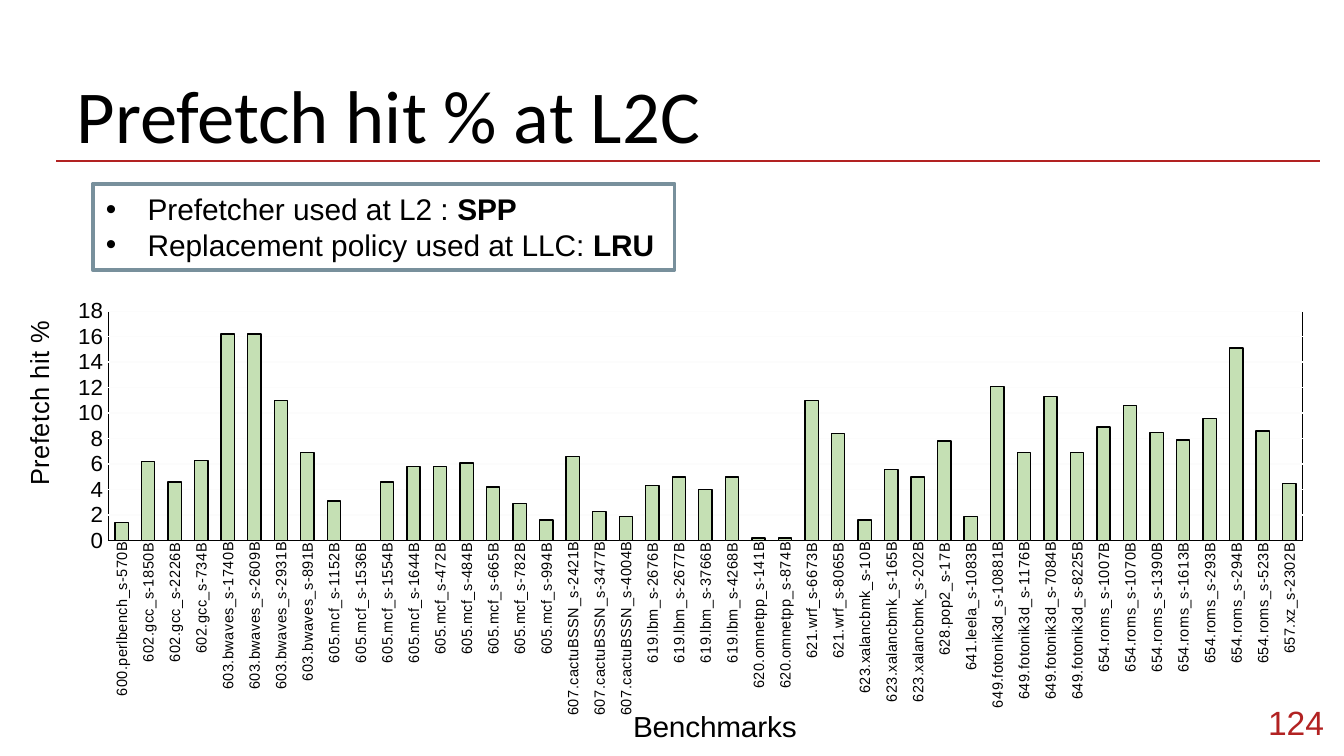
from lxml import etree
from pptx import Presentation
from pptx.chart.data import CategoryChartData
from pptx.dml.color import RGBColor
from pptx.enum.chart import XL_CHART_TYPE, XL_TICK_MARK
from pptx.enum.shapes import MSO_CONNECTOR, MSO_SHAPE
from pptx.enum.text import MSO_ANCHOR, PP_ALIGN
from pptx.oxml import parse_xml
from pptx.oxml.ns import nsdecls, qn
from pptx.util import Inches, Pt

COLUMN = XL_CHART_TYPE.COLUMN_CLUSTERED
NO_TICK = XL_TICK_MARK.NONE
STRAIGHT = MSO_CONNECTOR.STRAIGHT
RECTANGLE = MSO_SHAPE.RECTANGLE
MIDDLE = MSO_ANCHOR.MIDDLE
LEFT, RIGHT = PP_ALIGN.LEFT, PP_ALIGN.RIGHT

WIDTH = Inches(10)
HEIGHT = WIDTH * 9 // 16
COLORS = {"text": "000000", "accent": "B22222", "frame": "78909C",
          "paper": "FFFFFF", "bar": "C5E0B4", "grid": "FCFCFC"}

SETTINGS = [("Prefetcher used at L2 : ", "SPP"),
            ("Replacement policy used at LLC: ", "LRU")]

# Benchmark -> {trace: prefetch hit %}
HITS = {
    "600.perlbench_s": {"570B": 1.4},
    "602.gcc_s": {"1850B": 6.2, "2226B": 4.6, "734B": 6.3},
    "603.bwaves_s": {"1740B": 16.2, "2609B": 16.2, "2931B": 11, "891B": 6.9},
    "605.mcf_s": {"1152B": 3.1, "1536B": 0, "1554B": 4.6, "1644B": 5.8, "472B": 5.8,
                  "484B": 6.1, "665B": 4.2, "782B": 2.9, "994B": 1.6},
    "607.cactuBSSN_s": {"2421B": 6.6, "3477B": 2.3, "4004B": 1.9},
    "619.lbm_s": {"2676B": 4.3, "2677B": 5, "3766B": 4, "4268B": 5},
    "620.omnetpp_s": {"141B": 0.2, "874B": 0.2},
    "621.wrf_s": {"6673B": 11, "8065B": 8.4},
    "623.xalancbmk_s": {"10B": 1.6, "165B": 5.6, "202B": 5},
    "628.pop2_s": {"17B": 7.8},
    "641.leela_s": {"1083B": 1.9},
    "649.fotonik3d_s": {"10881B": 12.1, "1176B": 6.9, "7084B": 11.3, "8225B": 6.9},
    "654.roms_s": {"1007B": 8.9, "1070B": 10.6, "1390B": 8.5, "1613B": 7.9,
                   "293B": 9.6, "294B": 15.1, "523B": 8.6},
    "657.xz_s": {"2302B": 4.5},
}


def color(name):
    return RGBColor.from_string(COLORS[name])


def area(left, top, width, height):
    """Turn percentages of the slide's size into lengths."""
    return (int(WIDTH * left / 100), int(HEIGHT * top / 100),
            int(WIDTH * width / 100), int(HEIGHT * height / 100))


def style_font(font, size, name="Arial", ink="text"):
    font.name, font.size, font.bold = name, Pt(size), False
    font.color.rgb = color(ink)


def style_line(line, ink, width):
    line.color.rgb = color(ink)
    line.width = Pt(width)


def set_title(slide, text):
    title = slide.shapes.title
    title.left, title.top, title.width, title.height = area(4.7, 6.4, 93.2, 17.2)
    title.text = text
    title.text_frame.vertical_anchor = MIDDLE
    para = title.text_frame.paragraphs[0]
    para.alignment = LEFT
    style_font(para.font, 40, "Calibri")


def add_rule(slide):
    left, top, width, _ = area(4.2, 21.3, 94, 0)
    rule = slide.shapes.add_connector(STRAIGHT, left, top, left + width, top)
    style_line(rule.line, "accent", 1.5)
    etree.SubElement(rule._element.spPr, qn("a:effectLst"))


def add_page_number(slide, number):
    box = slide.shapes.add_textbox(*area(92.5, 91.7, 7, 7.6))
    frame = box.text_frame
    frame.word_wrap = True
    frame.vertical_anchor = MIDDLE
    para = frame.paragraphs[0]
    para.text = number
    para.alignment = RIGHT
    style_font(para.font, 18, ink="accent")


def add_bullet(para):
    properties = para._p.get_or_add_pPr()
    properties.set("marL", str(Inches(0.31)))
    properties.set("indent", str(Inches(-0.31)))
    etree.SubElement(properties, qn("a:buFont"), typeface="Arial")
    etree.SubElement(properties, qn("a:buChar"), char="•")


def add_settings_box(slide, settings):
    box = slide.shapes.add_shape(RECTANGLE, *area(6.9, 24.3, 43.3, 11.4))
    box.shadow.inherit = False
    box.fill.solid()
    box.fill.fore_color.rgb = color("paper")
    style_line(box.line, "frame", 2)
    frame = box.text_frame
    frame.word_wrap = False
    for index, (label, value) in enumerate(settings):
        para = frame.add_paragraph() if index else frame.paragraphs[0]
        para.alignment = LEFT
        add_bullet(para)
        style_font(para.font, 16)
        para.add_run().text = label
        span = para.add_run()
        span.text = value
        span.font.bold = True


def manual_layout(x, y, size=None):
    """Place a chart part by shares of the chart; a size makes it an inner plot area."""
    values = {"xMode": "edge", "yMode": "edge", "x": x, "y": y}
    if size:
        values = {"layoutTarget": "inner", **values, "w": size[0], "h": size[1]}
    parts = "".join(f'<c:{key} val="{value}"/>' for key, value in values.items())
    return parse_xml(f'<c:layout {nsdecls("c")}><c:manualLayout>{parts}'
                     '</c:manualLayout></c:layout>')


def set_layout(parent, layout, position):
    for old in parent.findall(qn("c:layout")):
        parent.remove(old)
    parent.insert(position, layout)


def style_axis(axis, title, title_size, label_size, x, y):
    axis.major_tick_mark = axis.minor_tick_mark = NO_TICK
    style_font(axis.tick_labels.font, label_size)
    frame = axis.axis_title.text_frame
    frame.text = title
    style_font(frame.paragraphs[0].font, title_size)
    set_layout(axis.axis_title._element, manual_layout(x, y), 1)


def turn_upright(body):
    body.set("rot", "-5400000")
    body.set("vert", "horz")


def frame_plot(plot_area):
    plot_area.append(parse_xml(
        f'<c:spPr {nsdecls("c", "a")}><a:noFill/><a:ln w="{Pt(0.75)}"><a:solidFill>'
        f'<a:srgbClr val="{COLORS["text"]}"/></a:solidFill></a:ln></c:spPr>'))


def add_hit_chart(slide, hits):
    data = CategoryChartData()
    data.categories = [f"{name}-{trace}" for name, runs in hits.items() for trace in runs]
    data.add_series("Series 1", [hit for runs in hits.values() for hit in runs.values()])
    chart = slide.shapes.add_chart(COLUMN, *area(1.3, 38.2, 96.6, 61.2), data).chart
    chart.has_legend = chart.has_title = False
    style_font(chart.font, 10)

    plot = chart.plots[0]
    plot.vary_by_categories = False
    plot.gap_width, plot.overlap = 100, -24
    bars = plot.series[0].format
    bars.fill.solid()
    bars.fill.fore_color.rgb = color("bar")
    style_line(bars.line, "text", 0.75)

    benchmarks, percent = chart.category_axis, chart.value_axis
    style_axis(benchmarks, "Benchmarks", 16, 8, 0.47, 0.92)
    style_line(benchmarks.format.line, "text", 0.75)
    turn_upright(benchmarks._element.find(qn("c:txPr")).find(qn("a:bodyPr")))
    style_axis(percent, "Prefetch hit %", 14, 12, 0, 0.07)
    turn_upright(percent.axis_title.text_frame._txBody.find(qn("a:bodyPr")))
    percent.minimum_scale, percent.maximum_scale, percent.major_unit = 0, 18, 2
    percent.format.line.fill.background()
    style_line(percent.major_gridlines.format.line, "grid", 0.75)

    plot_area = chart._chartSpace.chart.plotArea
    set_layout(plot_area, manual_layout(0.07, 0.05, (0.92, 0.51)), 0)
    frame_plot(plot_area)


def main():
    deck = Presentation()
    deck.slide_width, deck.slide_height = WIDTH, HEIGHT
    slide = deck.slides.add_slide(deck.slide_layouts.get_by_name("Title Only"))
    add_rule(slide)
    set_title(slide, "Prefetch hit % at L2C")
    add_page_number(slide, "124")
    add_settings_box(slide, SETTINGS)
    add_hit_chart(slide, HITS)
    deck.save("out.pptx")


if __name__ == "__main__":
    main()
